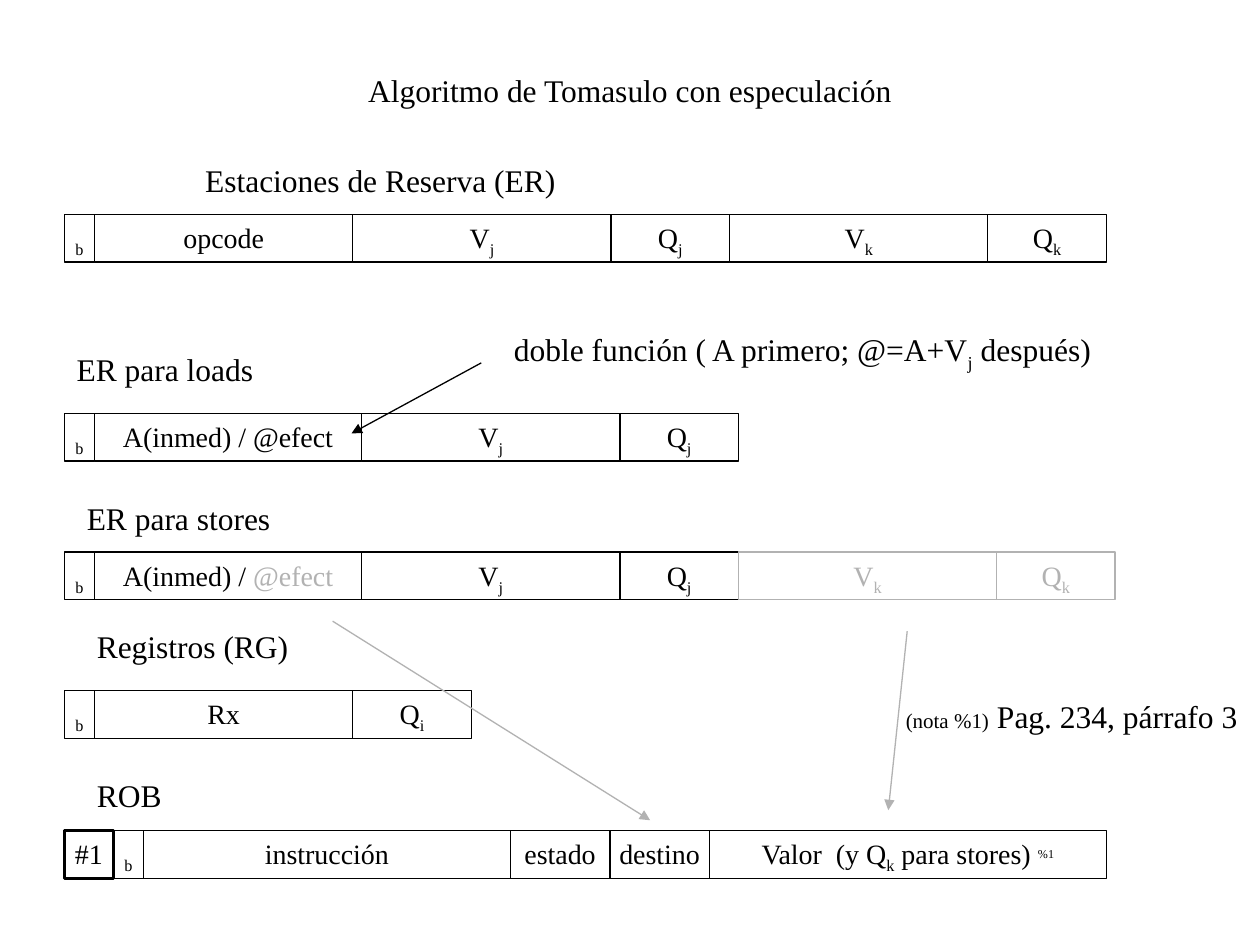
import pptx
import pptx.dml.color
import pptx.enum.dml
import pptx.enum.shapes
import pptx.enum.text
import pptx.oxml
import pptx.oxml.ns
import pptx.util
from pptx.util import Inches

BLACK = pptx.dml.color.RGBColor(0x00, 0x00, 0x00)
GRAY = pptx.dml.color.RGBColor(0xB2, 0xB2, 0xB2)
FONT_NAME = "Times New Roman"
LABEL_SIZE, CELL_SIZE, NOTE_SIZE = 18, 16, 12
SUBSCRIPT, SUPERSCRIPT = -25, 30
ROW_LEFT, ROW_HEIGHT = 0.51, 0.38
BUSY_WIDTH, VALUE_WIDTH, TAG_WIDTH = 0.24, 2.05, 0.94
ADDRESS_WIDTH, STATE_WIDTH = 2.12, 0.79


def set_attributes(target, values):
    for name, value in values.items():
        setattr(target, name, value)


def write_runs(text_frame, runs, size, color=BLACK, centered=False):
    paragraph = text_frame.paragraphs[0]
    if centered:
        paragraph.alignment = pptx.enum.text.PP_ALIGN.CENTER
    for text, changes in runs:
        run = paragraph.add_run()
        run.text = text
        set_attributes(run.font, {
            "name": FONT_NAME,
            "size": pptx.util.Pt(changes.get("size", size)),
        })
        run.font.color.rgb = changes.get("color", color)
        if "baseline" in changes:
            properties = run._r.get_or_add_rPr()
            properties.set("baseline", str(changes["baseline"] * 1000))


def plain(text, **changes):
    return [(text, changes)]


def indexed(text, index):
    return [(text, {}), (index, {"baseline": SUBSCRIPT})]


def add_title(slide, left, top, width, height):
    title = slide.shapes.title
    set_attributes(title, {
        "left": Inches(left), "top": Inches(top),
        "width": Inches(width), "height": Inches(height),
    })
    set_attributes(title.text_frame, {
        "auto_size": pptx.enum.text.MSO_AUTO_SIZE.NONE,
        "vertical_anchor": pptx.enum.text.MSO_ANCHOR.MIDDLE,
        "word_wrap": True,
    })
    write_runs(title.text_frame, plain("Algoritmo de Tomasulo con especulación"),
               LABEL_SIZE, centered=True)


def add_label(slide, left, top, width, height, runs):
    box = slide.shapes.add_textbox(
        Inches(left), Inches(top), Inches(width), Inches(height))
    set_attributes(box.text_frame, {
        "word_wrap": True,
        "auto_size": pptx.enum.text.MSO_AUTO_SIZE.SHAPE_TO_FIT_TEXT,
    })
    write_runs(box.text_frame, runs, LABEL_SIZE)


def add_cell(slide, left, top, width, height, runs, color=BLACK, line_width=0.75):
    cell = slide.shapes.add_shape(
        pptx.enum.shapes.MSO_SHAPE.RECTANGLE,
        Inches(left), Inches(top), Inches(width), Inches(height))
    cell.shadow.inherit = False
    cell.fill.background()
    cell.line.color.rgb = color
    cell.line.width = pptx.util.Pt(line_width)
    set_attributes(cell.text_frame, {
        "word_wrap": False,
        "vertical_anchor": pptx.enum.text.MSO_ANCHOR.TOP,
    })
    write_runs(cell.text_frame, runs, CELL_SIZE, color, centered=True)


def add_row(slide, left, top, height, fields):
    for width, runs, *style in fields:
        add_cell(slide, left, top, width, height, runs, *style)
        left += width


def add_arrow(slide, start, end, color):
    arrow = slide.shapes.add_connector(
        pptx.enum.shapes.MSO_CONNECTOR.STRAIGHT,
        *(Inches(value) for value in start + end))
    arrow.line.color.rgb = color
    arrow.line.width = pptx.util.Pt(0.75)
    properties = arrow._element.spPr
    line = properties.find(pptx.oxml.ns.qn("a:ln"))
    namespace = pptx.oxml.ns.nsdecls("a")
    line.append(pptx.oxml.parse_xml(f'<a:tailEnd {namespace} type="triangle"/>'))
    properties.append(pptx.oxml.parse_xml(f"<a:effectLst {namespace}/>"))


def main():
    presentation = pptx.Presentation()
    set_attributes(presentation, {
        "slide_width": Inches(10), "slide_height": Inches(7.5)})
    slide = presentation.slides.add_slide(presentation.slide_layouts[5])
    add_title(slide, 0.75, 0.5, 8.5, 0.42)

    labels = [
        (1.53, 1.23, 4.33, 0.4, plain("Estaciones de Reserva (ER)")),
        (0.51, 2.73, 8.11, 0.4, plain("ER para loads")),
        (0.59, 3.91, 7.88, 0.4, plain("ER para stores")),
        (0.67, 4.93, 2.36, 0.4, plain("Registros (RG)")),
        (0.67, 6.11, 2.36, 0.4, plain("ROB")),
        (3.98, 2.57, 5.59, 0.44,
         indexed("doble función ( A primero; @=A+V", "j") + plain(" después)")),
        (7.09, 5.48, 2.91, 0.4,
         plain("(nota %1)", size=NOTE_SIZE) + plain(" Pag. 234, párrafo 3")),
    ]
    for label in labels:
        add_label(slide, *label)

    busy = (BUSY_WIDTH, plain("b", baseline=SUBSCRIPT))
    first_operand = [(VALUE_WIDTH, indexed("V", "j")), (TAG_WIDTH, indexed("Q", "j"))]
    second_operand = [(VALUE_WIDTH, indexed("V", "k")), (TAG_WIDTH, indexed("Q", "k"))]
    gray_operand = [(*field, GRAY) for field in second_operand]
    load_address = (ADDRESS_WIDTH, plain("A(inmed) / @efect"))
    store_address = (ADDRESS_WIDTH, plain("A(inmed) / ") + plain("@efect", color=GRAY))
    rob_value = (indexed("Valor  (y Q", "k") + plain(" para stores) ")
                 + plain("%1", size=NOTE_SIZE, baseline=SUPERSCRIPT))
    rows = [
        (1.7, [busy, (VALUE_WIDTH, plain("opcode")), *first_operand, *second_operand]),
        (3.28, [busy, load_address, *first_operand]),
        (4.38, [busy, store_address, *first_operand, *gray_operand]),
        (5.48, [busy, (VALUE_WIDTH, plain("Rx")), (TAG_WIDTH, indexed("Q", "i"))]),
        (6.59, [(0.39, plain("#1"), BLACK, 1.75), busy, (2.91, plain("instrucción")),
                (STATE_WIDTH, plain("estado")), (STATE_WIDTH, plain("destino")),
                (3.15, rob_value)]),
    ]
    for top, fields in rows:
        add_row(slide, ROW_LEFT, top, ROW_HEIGHT, fields)

    add_arrow(slide, (3.82, 2.88), (2.79, 3.44), BLACK)
    add_arrow(slide, (7.2, 5.01), (7.05, 6.43), GRAY)
    add_arrow(slide, (2.64, 4.93), (5.16, 6.51), GRAY)
    presentation.save("out.pptx")


if __name__ == "__main__":
    main()
